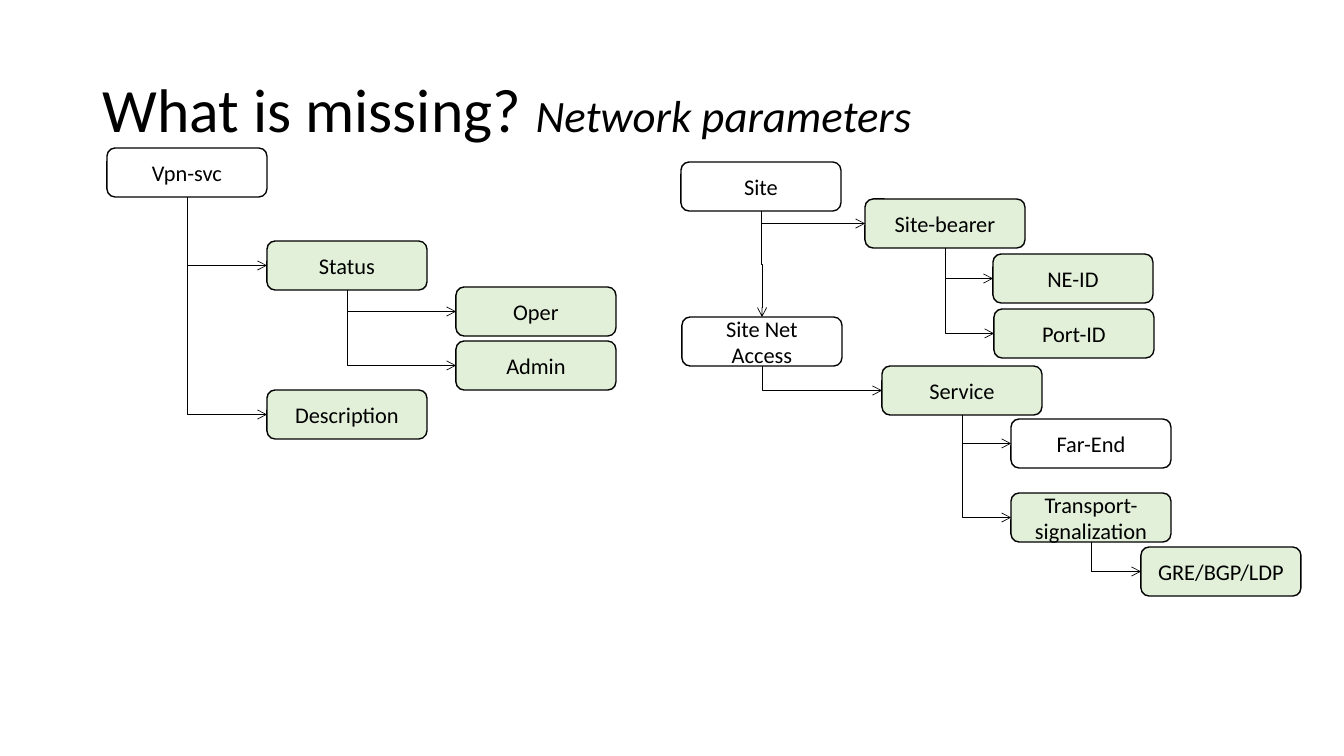
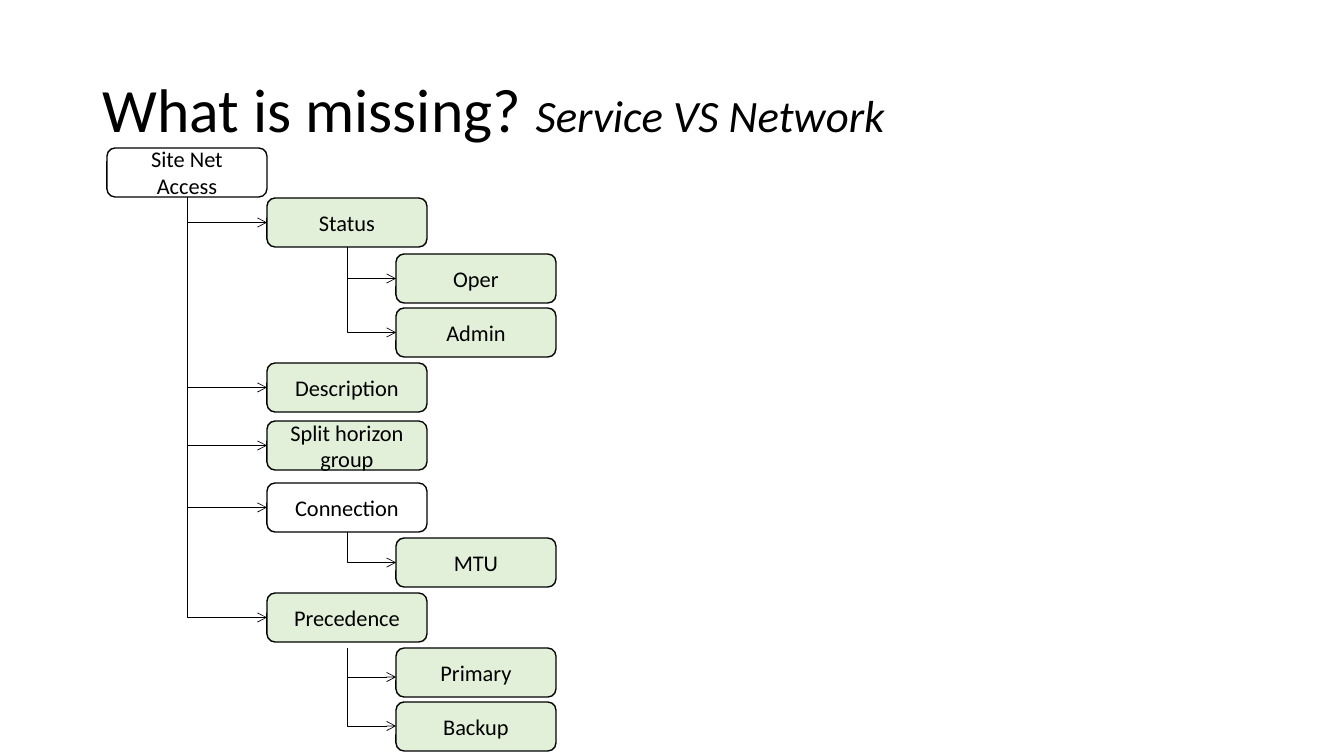
import pptx
import pptx.util
import pptx.dml.color
import pptx.enum.shapes
import pptx.enum.text
import pptx.oxml.ns
import lxml.etree

PIXELS_PER_INCH = 100.8
SLIDE_SIZE = (1344, 756)
TITLE_BOX = (93, 40, 1159, 146)
BOX_WIDTH, BOX_HEIGHT = 160, 49
FONT = "Calibri"
BLACK = "000000"
KNOWN = "FFFFFF"
MISSING = "E2F0D9"
BOTTOM_SITE, LEFT_SITE = 2, 1

NETWORK_NODES = [
    ("Vpn-svc", None, 107, 148, KNOWN),
    ("Status", "Vpn-svc", 267, 241, MISSING),
    ("Oper", "Status", 456, 287, MISSING),
    ("Admin", "Status", 456, 341, MISSING),
    ("Description", "Vpn-svc", 267, 390, MISSING),
    ("Site", None, 681, 162, KNOWN),
    ("Site-bearer", "Site", 865, 199, MISSING),
    ("NE-ID", "Site-bearer", 993, 254, MISSING),
    ("Port-ID", "Site-bearer", 994, 309, MISSING),
    ("Site Net Access", None, 682, 317, KNOWN),
    ("Service", "Site Net Access", 882, 366, MISSING),
    ("Far-End", "Service", 1011, 419, KNOWN),
    ("Transport-signalization", "Service", 1011, 493, MISSING),
    ("GRE/BGP/LDP", "Transport-signalization", 1141, 547, MISSING),
]

SERVICE_LEVELS = [107, 267, 396]
SERVICE_NODES = [
    ("Site Net Access", None, 0, 148, KNOWN),
    ("Status", "Site Net Access", 1, 198, MISSING),
    ("Oper", "Status", 2, 254, MISSING),
    ("Admin", "Status", 2, 308, MISSING),
    ("Description", "Site Net Access", 1, 363, MISSING),
    ("Split horizon group", "Site Net Access", 1, 421, MISSING),
    ("Connection", "Site Net Access", 1, 483, KNOWN),
    ("MTU", "Connection", 2, 538, MISSING),
    ("Precedence", "Site Net Access", 1, 593, MISSING),
    ("Primary", None, 2, 648, MISSING),
    ("Backup", None, 2, 702, MISSING),
]


def emu(pixels):
    return pptx.util.Emu(round(pixels * 914400 / PIXELS_PER_INCH))


def color(value):
    return pptx.dml.color.RGBColor.from_string(value)


def style_font(font, size, italic=False):
    font.name = FONT
    font.size = pptx.util.Pt(size)
    font.italic = italic
    font.color.rgb = color(BLACK)


def style_line(line, width):
    line.color.rgb = color(BLACK)
    line.width = pptx.util.Pt(width)


def add_title(slide, heading, topic):
    frame = slide.shapes.add_textbox(*map(emu, TITLE_BOX)).text_frame
    frame.word_wrap = True
    frame.vertical_anchor = pptx.enum.text.MSO_ANCHOR.MIDDLE
    paragraph = frame.paragraphs[0]
    paragraph.line_spacing = 0.9
    for text, size, italic in ((heading + " ", 44, False), (topic, 32, True)):
        run = paragraph.add_run()
        run.text = text
        style_font(run.font, size, italic)


def add_box(slide, text, left, top, fill):
    shape = slide.shapes.add_shape(
        pptx.enum.shapes.MSO_SHAPE.ROUNDED_RECTANGLE,
        emu(left), emu(top), emu(BOX_WIDTH), emu(BOX_HEIGHT))
    shape.shadow.inherit = False
    shape.fill.solid()
    shape.fill.fore_color.rgb = color(fill)
    style_line(shape.line, 1)
    frame = shape.text_frame
    frame.word_wrap = True
    frame.vertical_anchor = pptx.enum.text.MSO_ANCHOR.MIDDLE
    paragraph = frame.paragraphs[0]
    paragraph.text = text
    paragraph.alignment = pptx.enum.text.PP_ALIGN.CENTER
    style_font(paragraph.font, 16)
    return shape


def bottom_point(shape):
    return shape.left + shape.width // 2, shape.top + shape.height


def left_point(shape):
    return shape.left, shape.top + shape.height // 2


def add_arrow(slide, start, end, preset="bentConnector2"):
    connector = slide.shapes.add_connector(
        pptx.enum.shapes.MSO_CONNECTOR.ELBOW, *start, *end)
    style_line(connector.line, 0.5)
    properties = connector.element.spPr
    properties.find(pptx.oxml.ns.qn("a:prstGeom")).set("prst", preset)
    line = properties.find(pptx.oxml.ns.qn("a:ln"))
    lxml.etree.SubElement(line, pptx.oxml.ns.qn("a:tailEnd"), type="arrow")
    lxml.etree.SubElement(properties, pptx.oxml.ns.qn("a:effectLst"))
    turn_downward(connector, start, end)
    return connector


def turn_downward(connector, start, end):
    across, down = end[0] - start[0], end[1] - start[1]
    connector.left = (start[0] + end[0] - down) // 2
    connector.top = (start[1] + end[1] - across) // 2
    connector.width, connector.height = down, across
    transform = connector.element.spPr.find(pptx.oxml.ns.qn("a:xfrm"))
    transform.set("rot", "16200000")
    transform.set("flipH", "1")
    transform.set("flipV", "0")


def link_boxes(slide, parent, child):
    start, end = bottom_point(parent), left_point(child)
    connector = add_arrow(slide, start, end)
    connector.begin_connect(parent, BOTTOM_SITE)
    connector.end_connect(child, LEFT_SITE)
    turn_downward(connector, start, end)


def add_tree(slide, nodes):
    boxes = {}
    for text, parent, left, top, fill in nodes:
        boxes[text] = add_box(slide, text, left, top, fill)
        if parent:
            link_boxes(slide, boxes[parent], boxes[text])
    return boxes


def add_slide(presentation, topic, nodes):
    slide = presentation.slides.add_slide(presentation.slide_layouts[6])
    add_title(slide, "What is missing?", topic)
    return slide, add_tree(slide, nodes)


def build_network_slide(presentation):
    slide, boxes = add_slide(presentation, "Network parameters", NETWORK_NODES)
    access = boxes["Site Net Access"]
    access_top = (access.left + access.width // 2, access.top)
    add_arrow(slide, bottom_point(boxes["Site"]), access_top, "bentConnector3")


def build_service_slide(presentation):
    nodes = [(text, parent, SERVICE_LEVELS[level], top, fill)
             for text, parent, level, top, fill in SERVICE_NODES]
    slide, boxes = add_slide(presentation, "Service VS Network", nodes)
    center = bottom_point(boxes["Precedence"])[0]
    for arrow_y in (677, 726):
        add_arrow(slide, (center, emu(648)), (boxes["Primary"].left, emu(arrow_y)))


def main():
    presentation = pptx.Presentation()
    presentation.slide_width, presentation.slide_height = map(emu, SLIDE_SIZE)
    build_network_slide(presentation)
    build_service_slide(presentation)
    presentation.save("out.pptx")


main()
